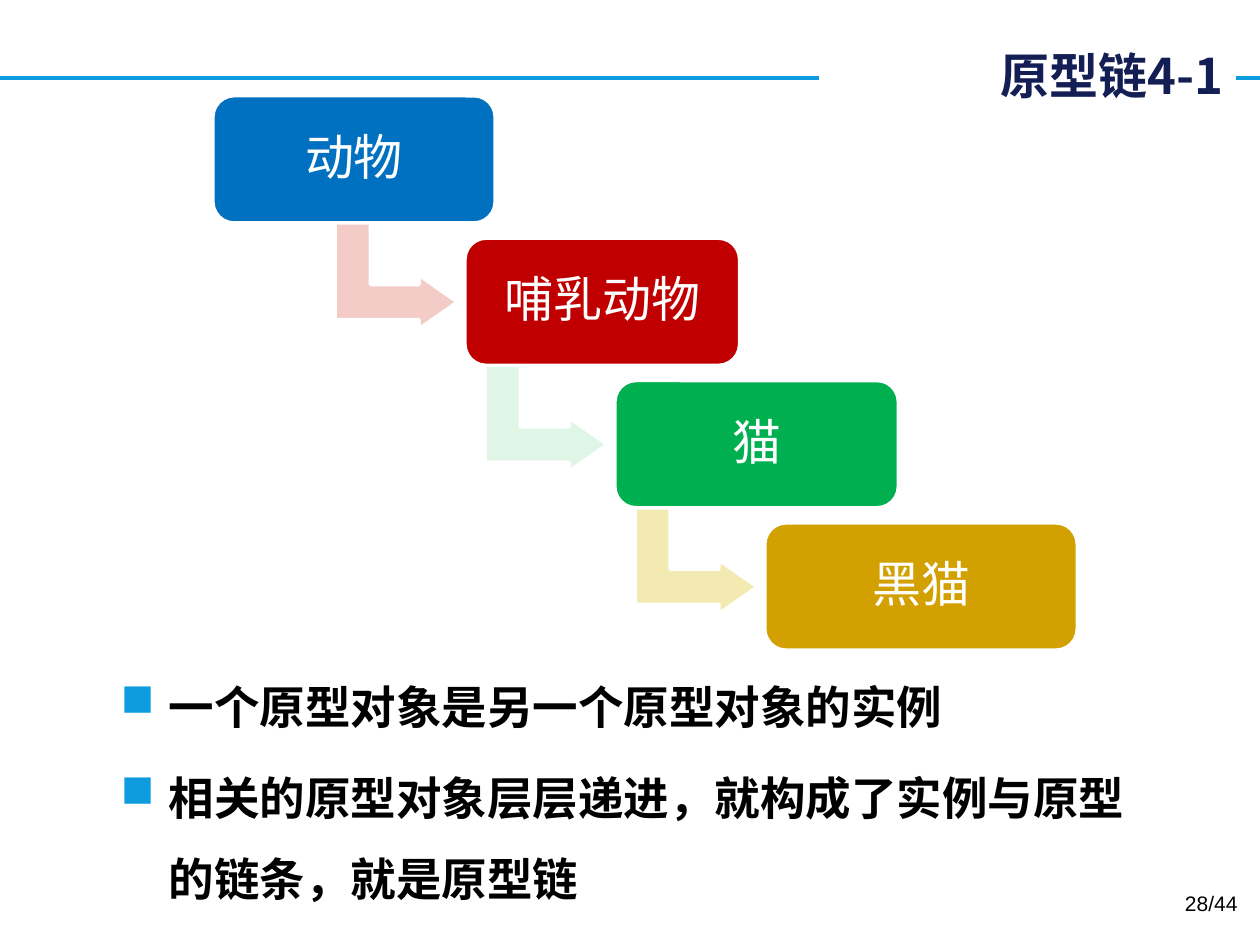
from lxml import etree
from pptx import Presentation
from pptx.dml.color import RGBColor
from pptx.enum.shapes import MSO_CONNECTOR, MSO_SHAPE
from pptx.enum.text import MSO_ANCHOR, PP_ALIGN
from pptx.oxml.ns import qn
from pptx.util import Inches, Pt

ROUND, BENT = MSO_SHAPE.ROUNDED_RECTANGLE, MSO_SHAPE.BENT_UP_ARROW
MIDDLE, CENTER, RIGHT = MSO_ANCHOR.MIDDLE, PP_ALIGN.CENTER, PP_ALIGN.RIGHT

WHITE = RGBColor(0xFF, 0xFF, 0xFF)
BLACK = RGBColor(0, 0, 0)
NAVY = RGBColor(0x12, 0x1E, 0x54)
SKY = RGBColor(0x0E, 0x9C, 0xDE)
BLUE = RGBColor(0x00, 0x70, 0xC0)
RED = RGBColor(0xC0, 0x00, 0x00)
GREEN = RGBColor(0x00, 0xB0, 0x50)
GOLD = RGBColor(0xD2, 0xA0, 0x00)
PINK = RGBColor(0xF3, 0xCB, 0xC7)
MINT = RGBColor(0xDF, 0xF5, 0xE6)
CREAM = RGBColor(0xF2, 0xEA, 0xB0)

CJK = "Noto Sans CJK SC"
TITLE = dict(name=CJK, size=Pt(28), bold=True, color=NAVY)
STEP = dict(name="Arial", size=Pt(28), color=WHITE)
BULLET = dict(name="Arial", size=Pt(26), bold=True, color=BLACK)
PAGE = dict(name="Arial", size=Pt(12), color=BLACK)

# label, left, width, fill, fill of the arrow to the next step
STEPS = [
    ("动物", 1.69, 2.24, BLUE, PINK),
    ("哺乳动物", 3.69, 2.18, RED, MINT),
    ("猫", 4.88, 2.25, GREEN, CREAM),
    ("黑猫", 6.07, 2.48, GOLD, None),
]
BULLETS = [
    "一个原型对象是另一个原型对象的实例",
    "相关的原型对象层层递进，就构成了实例与原型的链条，就是原型链",
]


def inches(*values):
    return [Inches(v) for v in values]


def write(p, text, style):
    r = p.add_run()
    r.text = text
    for key, value in style.items():
        if key == "color":
            r.font.color.rgb = value
        else:
            setattr(r.font, key, value)
    etree.SubElement(r._r.get_or_add_rPr(), qn("a:ea"), typeface=CJK)


def add_header(slide, box, text):
    """Rule across the slide, broken by the white title box."""
    y = Inches(0.62)
    rule = slide.shapes.add_connector(MSO_CONNECTOR.STRAIGHT, 0, y, Inches(10), y)
    rule.line.color.rgb = SKY
    rule.line.width = Pt(2.25)
    etree.SubElement(rule._element.spPr, qn("a:effectLst"))

    title = slide.shapes.title
    title.left, title.top, title.width, title.height = inches(*box)
    title.fill.solid()
    title.fill.fore_color.rgb = WHITE
    tf = title.text_frame
    tf.vertical_anchor = MIDDLE
    tf.paragraphs[0].alignment = RIGHT
    write(tf.paragraphs[0], text, TITLE)
    slide.shapes._spTree.append(title._element)  # in front of the rule


def add_block(slide, kind, box, fill):
    sp = slide.shapes.add_shape(kind, *inches(*box))
    sp.shadow.inherit = False
    sp.fill.solid()
    sp.fill.fore_color.rgb = fill
    sp.line.color.rgb = WHITE
    sp.line.width = Pt(2)
    return sp


def add_staircase(slide, top, pitch_x, pitch_y):
    """Steps going down to the right, joined by bent arrows."""
    for i, (label, left, width, fill, arrow_fill) in enumerate(STEPS):
        y = top + i * pitch_y
        if arrow_fill:
            box = (2.72 + i * pitch_x, y + 0.94, 0.85, 0.97)
            arrow = add_block(slide, BENT, box, arrow_fill)
            arrow.rotation = 90
            for n, value in enumerate((0.328, 0.25, 0.358)):
                arrow.adjustments[n] = value
        sp = add_block(slide, ROUND, (left, y, width, 1.01), fill)
        sp.text_frame.vertical_anchor = MIDDLE
        p = sp.text_frame.paragraphs[0]
        p.alignment, p.line_spacing = CENTER, 0.9
        write(p, label, STEP)


def add_text_box(slide, box):
    tf = slide.shapes.add_textbox(*inches(*box)).text_frame
    tf.word_wrap = True
    return tf


def add_bullets(slide, box):
    tf = add_text_box(slide, box)
    for i, text in enumerate(BULLETS):
        p = tf.add_paragraph() if i else tf.paragraphs[0]
        p.line_spacing = 1.5
        if i:
            p.space_before = Pt(5.2)
        pPr = p._p.get_or_add_pPr()
        indent = Inches(0.38)
        pPr.set("marL", str(indent))
        pPr.set("indent", str(-indent))
        color = etree.SubElement(pPr, qn("a:buClr"))
        etree.SubElement(color, qn("a:srgbClr"), val=str(SKY))
        etree.SubElement(pPr, qn("a:buChar"), char="■")
        write(p, text, BULLET)


def add_page_number(slide, box, text):
    p = add_text_box(slide, box).paragraphs[0]
    p.alignment = RIGHT
    write(p, text, PAGE)


def main():
    prs = Presentation()
    prs.slide_width, prs.slide_height = inches(10, 7.5)
    slide = prs.slides.add_slide(prs.slide_layouts[5])
    add_header(slide, (6.5, 0.31, 3.31, 0.57), "原型链4-1")
    add_bullets(slide, (0.86, 5.12, 8.36, 2.48))
    add_page_number(slide, (7.59, 7.02, 2.33, 0.4), "28/44")
    add_staircase(slide, top=0.76, pitch_x=1.19, pitch_y=1.13)
    prs.save("out.pptx")


if __name__ == "__main__":
    main()
